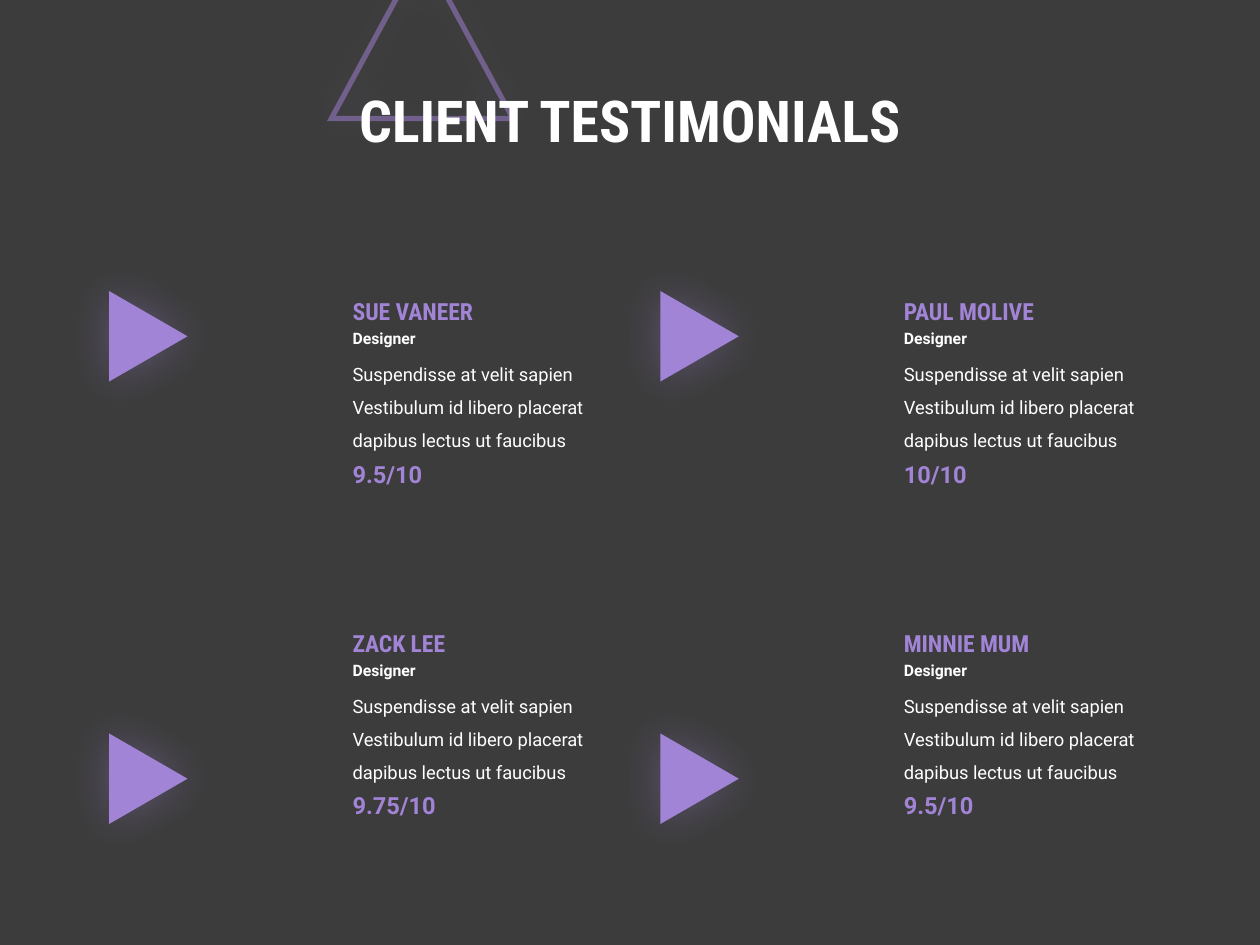
from lxml.etree import SubElement
from pptx import Presentation
from pptx.dml.color import RGBColor
from pptx.enum.shapes import MSO_SHAPE
from pptx.enum.text import MSO_ANCHOR, MSO_AUTO_SIZE, PP_ALIGN
from pptx.oxml.ns import qn
from pptx.util import Pt

# Content, row by row
TITLE = "CLIENT TESTIMONIALS"
ROLE = "Designer"
QUOTE = ("Suspendisse at velit sapien Vestibulum id libero placerat "
         "dapibus lectus ut faucibus")
CLIENTS = [
    [("SUE VANEER", "9.5/10"), ("PAUL MOLIVE", "10/10")],
    [("ZACK LEE", "9.75/10"), ("MINNIE MUM", "9.5/10")],
]

# Type styles: font, size, colour, bold
THEME = {
    "background": "3C3C3C",
    "accent": "A284D7",
    "title": ("Roboto Condensed", 33, "FFFFFF", True),
    "name": ("Roboto Condensed", 13.5, "A284D7", True),
    "role": ("Roboto", 9, "FFFFFF", True),
    "quote": ("Roboto", 10.5, "FFFFFF", False),
    "score": ("Roboto", 13.5, "A284D7", True),
}

# Layout in points
TEXT_X, TEXT_Y = 194.4, 166.1
MARK_X, MARK_Y = 58.9, 169.8
COL_STEP, ROW_STEP, MARK_ROW_STEP = 315, 189.7, 252.8
MARK_SIZE = (51.7, 44.8)
# Style: offset from the client's top, width, height, line spacing
PARTS = {
    "quote": (31.4, 153.6, 62.6, 1.5),
    "name": (0, 100, 23.8, None),
    "role": (18.4, 56.2, 18, None),
    "score": (92.9, 80.6, 23.8, None),
}


def rgb(key):
    return RGBColor.from_string(THEME[key])


def add_text(s, text, style, x, y, w, h, spacing=None):
    tf = s.shapes.add_textbox(Pt(x), Pt(y), Pt(w), Pt(h)).text_frame
    tf.word_wrap = True
    tf.auto_size = MSO_AUTO_SIZE.SHAPE_TO_FIT_TEXT
    p = tf.paragraphs[0]
    p.line_spacing = spacing
    r = p.add_run()
    r.text = text
    font, size, color, bold = THEME[style]
    r.font.name, r.font.size, r.font.bold = font, Pt(size), bold
    r.font.color.rgb = RGBColor.from_string(color)
    return tf


def add_triangle(s, x, y, w, h):
    sp = s.shapes.add_shape(MSO_SHAPE.ISOSCELES_TRIANGLE,
                            Pt(x), Pt(y), Pt(w), Pt(h))
    # Soft glow: a blurred shadow without offset
    sp.shadow.inherit = False
    effects = sp._element.spPr.find(qn("a:effectLst"))
    glow = SubElement(effects, qn("a:outerShdw"), blurRad=str(Pt(25)),
                      dist="0", dir="0", algn="ctr", rotWithShape="0")
    color = SubElement(glow, qn("a:srgbClr"), val=THEME["accent"])
    SubElement(color, qn("a:alpha"), val="35000")
    return sp


def add_outline_triangle(s):
    sp = add_triangle(s, 189.4, -28.1, 103.7, 95.8)
    sp.fill.background()
    sp.line.color.rgb = rgb("accent")
    sp.line.width = Pt(3)
    ln = sp._element.spPr.find(qn("a:ln"))
    SubElement(ln.find(".//" + qn("a:srgbClr")), qn("a:alpha"), val="50000")
    SubElement(ln, qn("a:miter"), lim="800000")


def add_mark(s, x, y):
    sp = add_triangle(s, x, y, *MARK_SIZE)
    sp.rotation = 90
    sp.fill.solid()
    sp.fill.fore_color.rgb = rgb("accent")
    sp.line.fill.background()


def add_client(s, name, score, x, y):
    texts = {"name": name, "role": ROLE, "quote": QUOTE, "score": score}
    for style, (dy, w, h, spacing) in PARTS.items():
        add_text(s, texts[style], style, x, y + dy, w, h, spacing)


def main():
    prs = Presentation()
    prs.slide_width, prs.slide_height = Pt(720), Pt(540)
    s = prs.slides.add_slide(prs.slide_layouts[6])
    s.background.fill.solid()
    s.background.fill.fore_color.rgb = rgb("background")

    # Heading
    add_outline_triangle(s)
    tf = add_text(s, TITLE, "title", 176.4, 35.3, 367.2, 70.6, 0.9)
    tf.auto_size = MSO_AUTO_SIZE.NONE
    tf.vertical_anchor = MSO_ANCHOR.MIDDLE
    tf.paragraphs[0].alignment = PP_ALIGN.CENTER

    # Grid of testimonials
    for row, clients in enumerate(CLIENTS):
        for col, (name, score) in enumerate(clients):
            dx = col * COL_STEP
            add_client(s, name, score, TEXT_X + dx, TEXT_Y + row * ROW_STEP)
            add_mark(s, MARK_X + dx, MARK_Y + row * MARK_ROW_STEP)

    prs.save("out.pptx")


if __name__ == "__main__":
    main()
